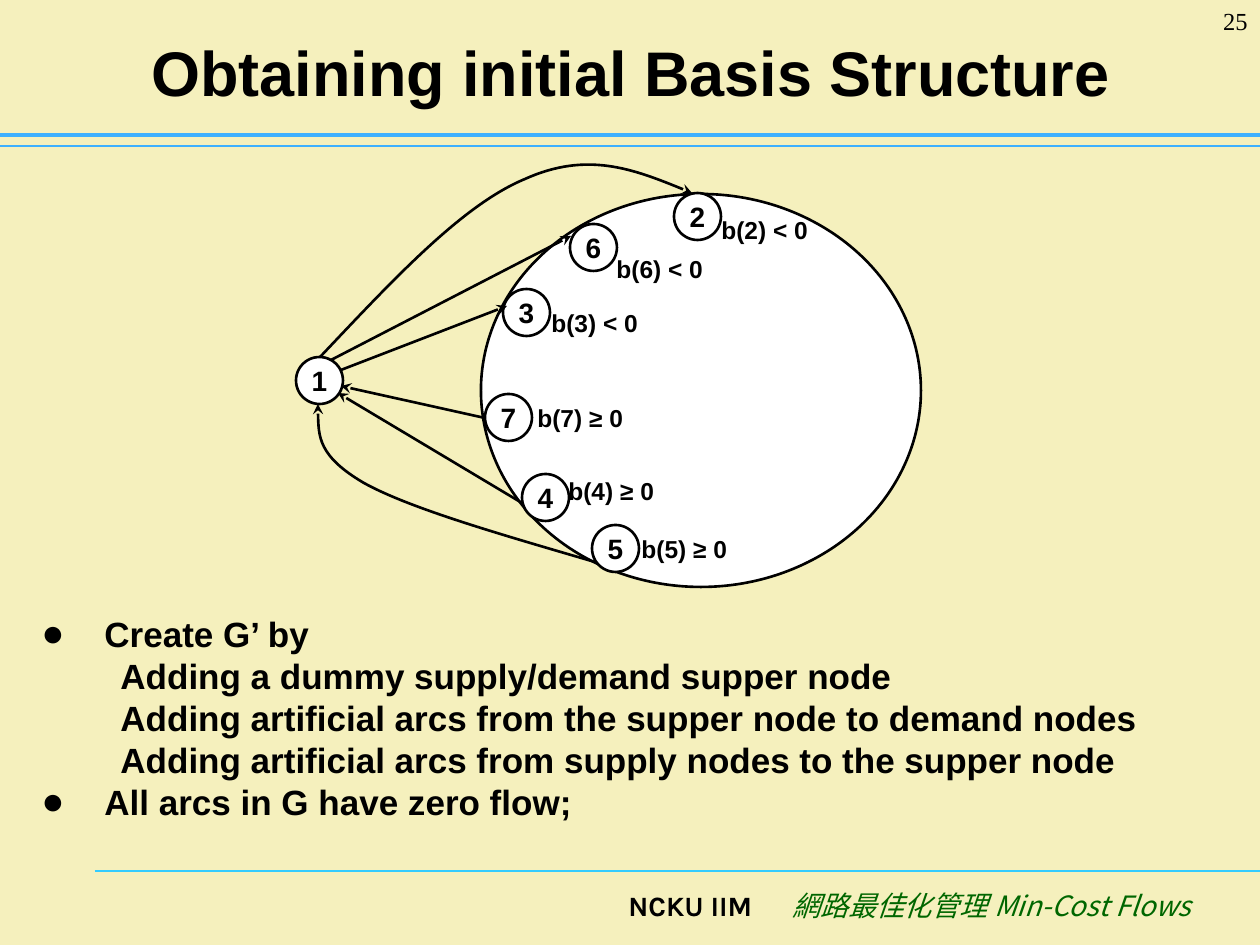
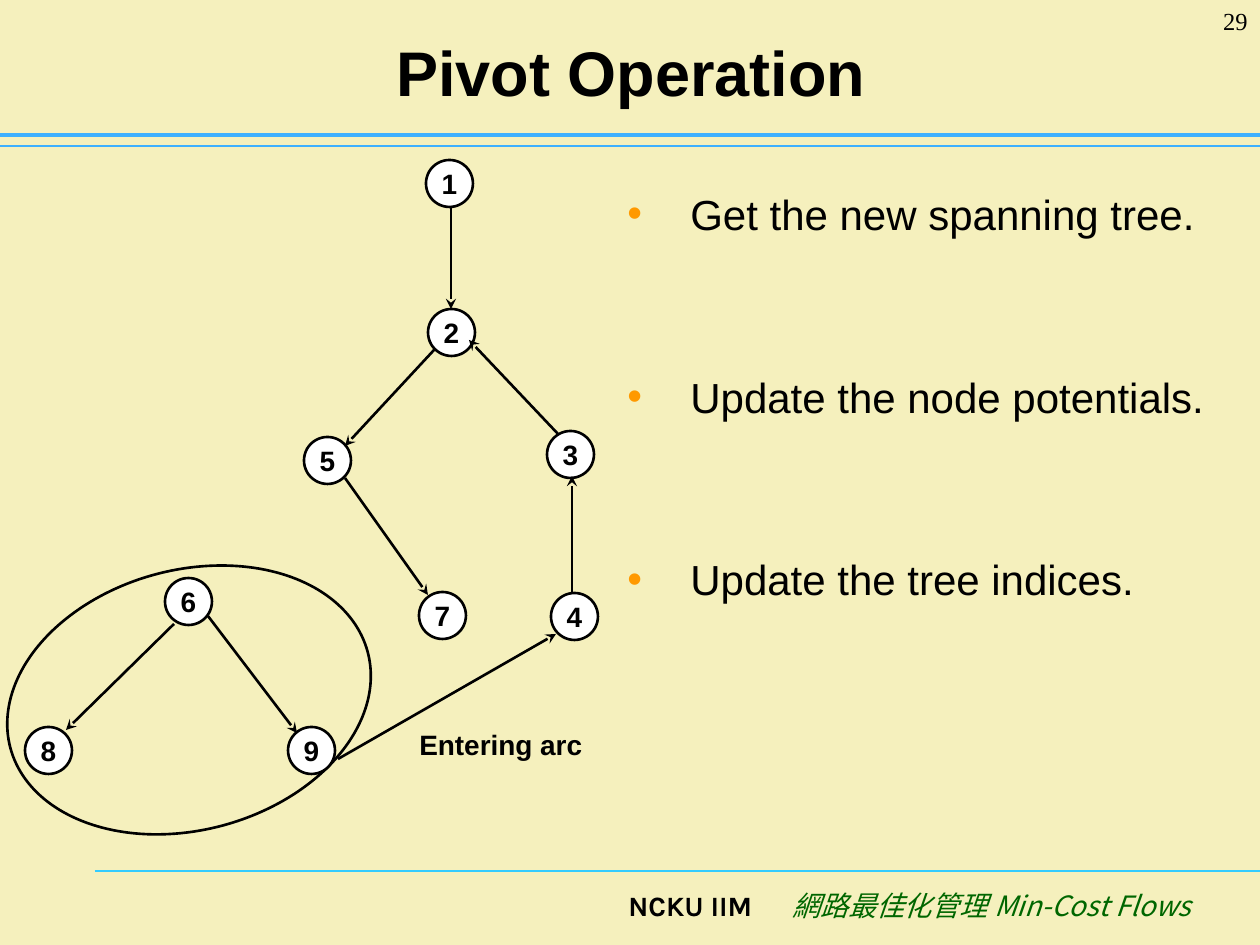
from lxml.etree import SubElement
from pptx import Presentation
from pptx.dml.color import RGBColor
from pptx.enum.shapes import MSO_CONNECTOR as Link, MSO_SHAPE as Preset
from pptx.enum.text import MSO_ANCHOR as Anchor, PP_ALIGN as Align
from pptx.oxml.ns import qn
from pptx.util import Pt

PX = 7257
BLACK = RGBColor(0, 0, 0)
WHITE = RGBColor(255, 255, 255)
CREAM = RGBColor(0xF5, 0xF0, 0xBD)
SKY = RGBColor(0x3D, 0xB0, 0xFF)
CYAN = RGBColor(0x33, 0xCC, 0xFF)
GREEN = RGBColor(0, 0x66, 0)
ORANGE = RGBColor(0xFF, 0x99, 0)

TITLE = {"name": "Arial", "size": Pt(36), "bold": True}
NODE = {"name": "Arial", "size": Pt(16), "bold": True}
LABEL = {"name": "Arial", "size": Pt(14), "bold": True}
STEP = {"name": "Arial", "size": Pt(20), "bold": True}
BODY = {"name": "Arial", "size": Pt(24)}
NUMBER = {"name": "Times New Roman", "size": Pt(14)}
SCHOOL = {"name": "Karla", "size": Pt(16), "bold": True}
COURSE = {"name": "Noto Sans CJK SC", "size": Pt(16), "italic": True}
CENTER = {"alignment": Align.CENTER}
RIGHT = {"alignment": Align.RIGHT}
LEFT = {"alignment": Align.LEFT}

RULES = [(95, 871, CYAN, 0.75), (0, 146, SKY, 0.75), (0, 135, SKY, 2.5)]
NODE_SIZE = 47


def write(frame, lines, font_format, para_format):
    frame.word_wrap = True
    for index, line in enumerate(lines):
        para = frame.paragraphs[0] if index == 0 else frame.add_paragraph()
        for name, value in para_format.items():
            if index or name != "space_before":
                setattr(para, name, value)
        span = para.add_run()
        span.text = line
        span.font.color.rgb = BLACK
        for name, value in font_format.items():
            setattr(span.font, name, value)


def stroke(item, color=BLACK, width=1.5, arrow=False):
    item.line.color.rgb = color
    item.line.width = Pt(width)
    if arrow:
        SubElement(item.line._get_or_add_ln(), qn("a:tailEnd"), type="stealth")
    SubElement(item._element.spPr, qn("a:effectLst"))


SLIDES = [
    {
        "title": "Obtaining initial Basis Structure",
        "number": "25",
        "region": (481, 194, 440, 393),
        "rotation": 0,
        "filled": True,
        "nodes": {1: (296, 357), 6: (570, 224), 3: (503, 289), 7: (485, 394),
                  2: (674, 193), 4: (522, 474), 5: (592, 525)},
        "arcs": [(331, 360, 571, 236), (341, 370, 507, 306),
                 (485, 418, 341, 386), (522, 503, 338, 393)],
        "curves": [
            [(595, 562), (503, 535), (411, 509), (364, 483),
             (318, 456), (318, 430), (318, 404)],
            [(320, 357), (392, 281), (462, 205), (525, 179),
             (587, 151), (639, 171), (692, 193)],
        ],
        "labels": [("b(5) ≥ 0", 629, 528), ("b(4) ≥ 0", 556, 470),
                   ("b(7) ≥ 0", 525, 397), ("b(3) < 0", 539, 302),
                   ("b(6) < 0", 604, 248), ("b(2) < 0", 709, 209)],
        "label_width": 117,
        "label_format": LABEL,
        "body": (29, 606, 1231, 222),
        "lines": ["Create G’ by",
                  "Adding a dummy supply/demand supper node",
                  "Adding artificial arcs from the supper node to demand nodes",
                  "Adding artificial arcs from supply nodes to the supper node",
                  "All arcs in G have zero flow;"],
        "unmarked": (1, 2, 3),
        "body_format": STEP,
        "spacing": {"line_spacing": Pt(24)},
        "bullet": ("●", BLACK, 110),
    },
    {
        "title": "Pivot Operation",
        "number": "29",
        "region": (4, 570, 370, 260),
        "rotation": 344.9,
        "filled": False,
        "nodes": {1: (426, 160), 2: (428, 309), 5: (304, 437), 3: (547, 431),
                  4: (551, 593), 7: (419, 592), 6: (165, 578), 9: (288, 727),
                  8: (25, 727)},
        "arcs": [(451, 208, 451, 309), (435, 349, 345, 446),
                 (559, 435, 469, 340), (572, 593, 572, 476),
                 (345, 478, 428, 595), (208, 616, 297, 733),
                 (174, 624, 66, 730), (338, 759, 556, 634)],
        "curves": [],
        "labels": [("Entering arc", 407, 721)],
        "label_width": 194,
        "label_format": NODE,
        "body": (615, 180, 619, 621),
        "lines": ["Get the new spanning tree.",
                  "Update the node potentials.",
                  "Update the tree indices."],
        "unmarked": (),
        "body_format": BODY,
        "spacing": {"line_spacing": Pt(30), "space_before": Pt(74.5)},
        "bullet": ("•", ORANGE, 100),
    },
]

deck = Presentation()
deck.slide_width = 1260 * PX
deck.slide_height = 945 * PX

for content in SLIDES:
    page = deck.slides.add_slide(deck.slide_layouts[6])
    shapes = page.shapes
    page.background.fill.solid()
    page.background.fill.fore_color.rgb = CREAM

    for left, top, color, width in RULES:
        rule = shapes.add_connector(Link.STRAIGHT, left * PX, top * PX, 1260 * PX, top * PX)
        stroke(rule, color, width)

    footer = shapes.add_textbox(616 * PX, 882 * PX, 620 * PX, 63 * PX)
    write(footer.text_frame, ["NCKU IIM\t"], SCHOOL, LEFT)
    para = footer.text_frame.paragraphs[0]
    tabs = SubElement(para._p.get_or_add_pPr(), qn("a:tabLst"))
    SubElement(tabs, qn("a:tab"), pos=str(164 * PX), algn="l")
    course = para.add_run()
    course.text = "網路最佳化管理 Min-Cost Flows"
    course.font.color.rgb = GREEN
    for name, value in COURSE.items():
        setattr(course.font, name, value)
    SubElement(course.font._element, qn("a:ea"), typeface=COURSE["name"])

    title = shapes.add_textbox(64 * PX, 16 * PX, 1134 * PX, 110 * PX)
    title.text_frame.vertical_anchor = Anchor.MIDDLE
    write(title.text_frame, [content["title"]], TITLE, CENTER)
    number = shapes.add_textbox(1155 * PX, 0, 105 * PX, 63 * PX)
    write(number.text_frame, [content["number"]], NUMBER, RIGHT)

    region = shapes.add_shape(Preset.OVAL, *[side * PX for side in content["region"]])
    region.rotation = content["rotation"]
    stroke(region)
    if content["filled"]:
        region.fill.solid()
        region.fill.fore_color.rgb = WHITE
    else:
        region.fill.background()

    for name, (left, top) in content["nodes"].items():
        node = shapes.add_shape(Preset.OVAL, left * PX, top * PX, NODE_SIZE * PX, NODE_SIZE * PX)
        node.fill.solid()
        node.fill.fore_color.rgb = WHITE
        stroke(node)
        frame = node.text_frame
        frame.vertical_anchor = Anchor.MIDDLE
        for margin in ("left", "top", "right", "bottom"):
            setattr(frame, f"margin_{margin}", 0)
        write(frame, [str(name)], NODE, CENTER)

    for ends in content["arcs"]:
        arc = shapes.add_connector(Link.STRAIGHT, *[end * PX for end in ends])
        stroke(arc, arrow=True)

    for points in content["curves"]:
        builder = shapes.build_freeform(*points[0], scale=PX)
        builder.add_line_segments(points[1:], close=False)
        curve = builder.convert_to_shape()
        curve.fill.background()
        stroke(curve, arrow=True)
        outline = next(curve._element.iter(qn("a:path")))
        segments = outline.findall(qn("a:lnTo"))
        for start in range(0, len(segments), 3):
            bezier = SubElement(outline, qn("a:cubicBezTo"))
            for segment in segments[start:start + 3]:
                bezier.append(segment[0])
                outline.remove(segment)

    for text, left, top in content["labels"]:
        label = shapes.add_textbox(left * PX, top * PX, content["label_width"] * PX, 45 * PX)
        write(label.text_frame, [text], content["label_format"], LEFT)

    body = shapes.add_textbox(*[side * PX for side in content["body"]])
    write(body.text_frame, content["lines"], content["body_format"], content["spacing"])
    symbol, color, percent = content["bullet"]
    for index, para in enumerate(body.text_frame.paragraphs):
        layout = para._p.get_or_add_pPr()
        if index in content["unmarked"]:
            layout.set("marL", str(79 * PX))
            continue
        layout.set("marL", str(63 * PX))
        layout.set("indent", str(-63 * PX))
        tint = SubElement(layout, qn("a:buClr"))
        SubElement(tint, qn("a:srgbClr"), val=str(color))
        SubElement(layout, qn("a:buSzPct"), val=str(percent * 1000))
        SubElement(layout, qn("a:buFont"), typeface="Arial")
        SubElement(layout, qn("a:buChar"), char=symbol)

deck.save("out.pptx")
